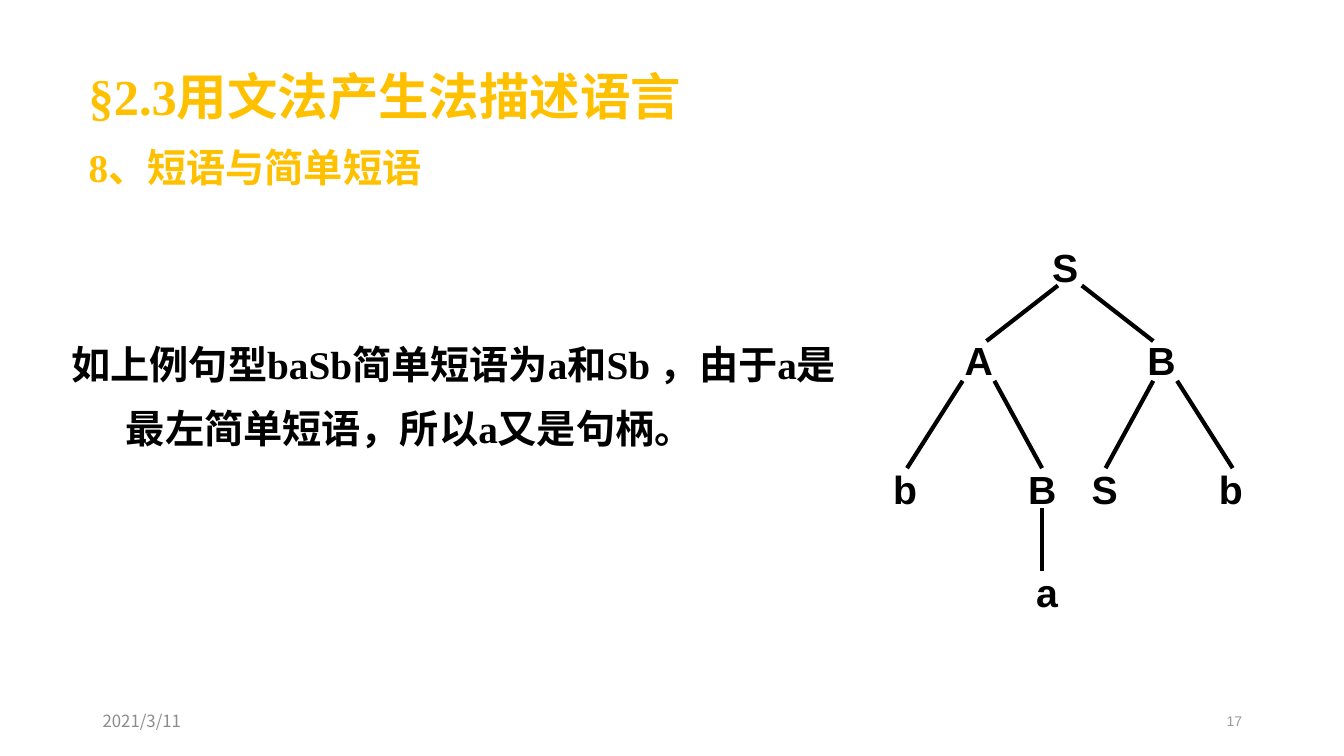
from dataclasses import dataclass

from lxml.etree import SubElement
from pptx import Presentation
from pptx.dml.color import RGBColor
from pptx.enum.shapes import MSO_CONNECTOR
from pptx.enum.text import MSO_ANCHOR, MSO_AUTO_SIZE, PP_ALIGN
from pptx.oxml.ns import qn
from pptx.shapes.autoshape import Shape
from pptx.shapes.group import GroupShape
from pptx.text.text import TextFrame
from pptx.util import Inches, Length, Pt

SLIDE_WIDTH, SLIDE_HEIGHT = Inches(13.33), Inches(7.5)
TREE_LEFT, TREE_TOP = Inches(8.76), Inches(2.36)
TREE_CELL = Inches(3.86) / 49
NODE_COLUMNS, NODE_ROWS = 8, 7.2
HANGING, FIRST_LINE = 3.45, 0.3
BLACK, GOLD = "000000", "FFC000"
CJK_FONT = "Noto Sans CJK SC"


@dataclass(frozen=True)
class Symbol:
    """A grammar symbol at a column and row of the tree grid."""
    text: str
    column: float
    row: float


@dataclass(frozen=True)
class Branch:
    """A line between two points of the tree grid."""
    start: tuple[float, float]
    end: tuple[float, float]


SYMBOLS = [
    Symbol("S", 20, 0),
    Symbol("A", 9, 11.8), Symbol("B", 32, 11.8),
    Symbol("b", 0, 28), Symbol("B", 17, 28), Symbol("S", 25, 28), Symbol("b", 41, 28),
    Symbol("a", 18, 41),
]
BRANCHES = [
    Branch((22, 6), (13, 13)), Branch((25, 6), (34, 13)),
    Branch((10, 18), (3, 29)), Branch((14, 18), (20, 29)),
    Branch((34, 18), (28, 29)), Branch((37, 18), (44, 29)),
    Branch((20, 34), (20, 42)),
]


def across(percent: float) -> Length:
    """Return a share of the slide's width."""
    return Length(round(SLIDE_WIDTH * percent / 100))


def down(percent: float) -> Length:
    """Return a share of the slide's height."""
    return Length(round(SLIDE_HEIGHT * percent / 100))


def tree_point(column: float, row: float) -> tuple[Length, Length]:
    """Return the slide position of a tree grid point."""
    return (Length(round(TREE_LEFT + column * TREE_CELL)),
            Length(round(TREE_TOP + row * TREE_CELL)))


def colour(value: str) -> RGBColor:
    """Turn a hex string into a colour."""
    return RGBColor.from_string(value)


def write(frame: TextFrame, text: str, *, size: float, font: str = "Times New Roman",
          fill: str = BLACK, bold: bool = True, align: PP_ALIGN = PP_ALIGN.LEFT,
          line_spacing: float = 1.0, margin: float = 0, first_line: float = 0) -> None:
    """Write one formatted paragraph, its margins given as shares of the width."""
    is_first = not frame.text
    paragraph = frame.paragraphs[0] if is_first else frame.add_paragraph()
    properties = paragraph._p.get_or_add_pPr()
    properties.set("marL", str(across(margin)))
    properties.set("indent", str(across(first_line - margin)))
    paragraph.alignment = align
    paragraph.line_spacing = line_spacing
    paragraph.space_before = Pt(0 if is_first else size * 0.2)
    run = paragraph.add_run()
    run.text = text
    run.font.size = Pt(size)
    run.font.bold = bold
    run.font.name = font
    run.font.color.rgb = colour(fill)
    SubElement(run._r.get_or_add_rPr(), qn("a:ea"), typeface=CJK_FONT)


def place(shape: Shape, left: float, top: float, width: float, height: float,
          anchor: MSO_ANCHOR = MSO_ANCHOR.TOP) -> TextFrame:
    """Place a text shape by shares of the slide and return its frame."""
    shape.left, shape.top = across(left), down(top)
    shape.width, shape.height = across(width), down(height)
    frame = shape.text_frame
    frame.word_wrap = True
    frame.auto_size = MSO_AUTO_SIZE.NONE
    frame.vertical_anchor = anchor
    return frame


def draw_symbol(tree: GroupShape, symbol: Symbol) -> None:
    """Draw one symbol of the syntax tree."""
    left, top = tree_point(symbol.column, symbol.row)
    node = tree.shapes.add_textbox(left, top, round(NODE_COLUMNS * TREE_CELL),
                                   round(NODE_ROWS * TREE_CELL))
    node.text_frame.word_wrap = True
    node.text_frame.auto_size = MSO_AUTO_SIZE.SHAPE_TO_FIT_TEXT
    write(node.text_frame, symbol.text, size=28, font="Arial")


def draw_branch(tree: GroupShape, branch: Branch) -> None:
    """Draw one branch of the syntax tree."""
    line = tree.shapes.add_connector(MSO_CONNECTOR.STRAIGHT, *tree_point(*branch.start),
                                     *tree_point(*branch.end))
    line.line.color.rgb = colour(BLACK)
    line.line.width = Pt(3)
    SubElement(line._element.spPr, qn("a:effectLst"))


def main() -> None:
    """Build and save the slide."""
    deck = Presentation()
    deck.slide_width, deck.slide_height = SLIDE_WIDTH, SLIDE_HEIGHT
    slide = deck.slides.add_slide(deck.slide_layouts.get_by_name("Title Only"))
    shapes = slide.shapes

    heading = place(shapes.title, 5.55, 6.4, 72.54, 22.13)
    for text, size in (("§2.3用文法产生法描述语言", 36), ("8、短语与简单短语", 28)):
        write(heading, text, size=size, fill=GOLD, line_spacing=1.2,
              margin=HANGING, first_line=FIRST_LINE)

    explanation = place(shapes.add_textbox(0, 0, 0, 0), 4.28, 43.07, 61.37, 21.47)
    write(explanation, "如上例句型baSb简单短语为a和Sb ，由于a是", size=28,
          line_spacing=1.2, margin=HANGING, first_line=FIRST_LINE)
    write(explanation, "最左简单短语，所以a又是句柄。", size=28,
          line_spacing=1.2, margin=4.35, first_line=4.35)

    date = place(shapes.add_textbox(0, 0, 0, 0), 6.9, 92.67, 22.5, 5.33, MSO_ANCHOR.MIDDLE)
    write(date, "2021/3/11", size=12, font=CJK_FONT, fill="8C8C8C", bold=False)
    page = place(shapes.add_textbox(0, 0, 0, 0), 70.67, 92.67, 22.5, 5.33, MSO_ANCHOR.MIDDLE)
    write(page, "17", size=10, font="Arial", fill="9B9A98", bold=False, align=PP_ALIGN.RIGHT)

    tree = shapes.add_group_shape()
    for symbol in SYMBOLS:
        draw_symbol(tree, symbol)
    for branch in BRANCHES:
        draw_branch(tree, branch)

    deck.save("out.pptx")


if __name__ == "__main__":
    main()
